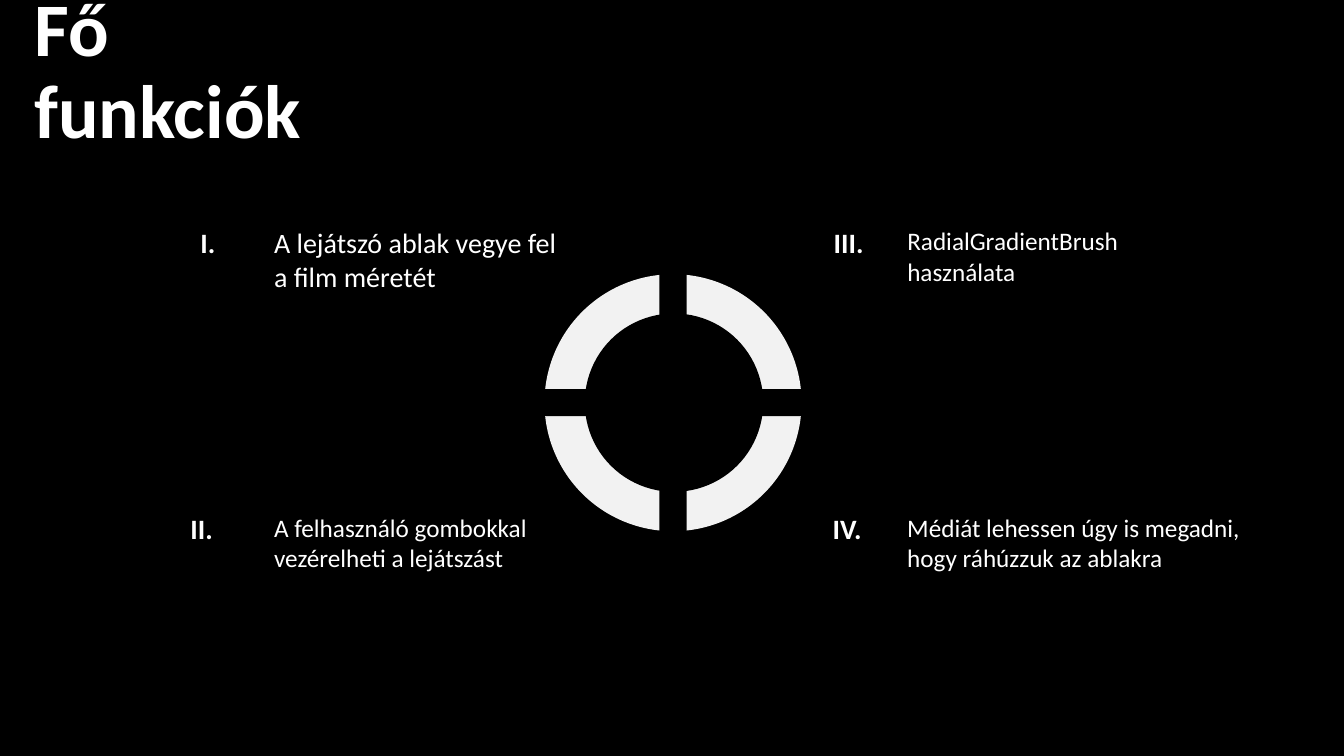
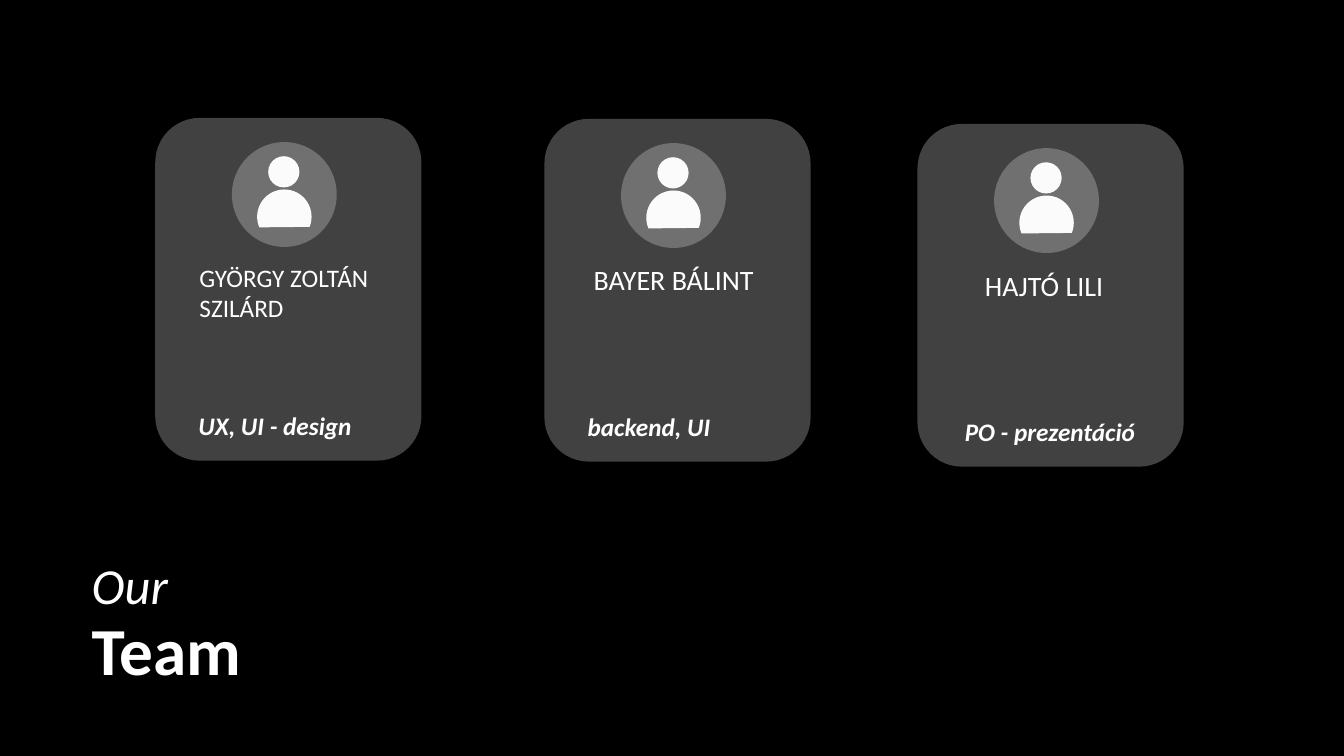
from lxml import etree
from pptx import Presentation
from pptx.dml.color import RGBColor
from pptx.enum import shapes, text
from pptx.oxml.ns import qn
from pptx.util import Inches, Pt

FONT = "Calibri"
BLACK, WHITE, PALE, GREY = "000000", "FFFFFF", "F2F2F2", "404040"
KIND = shapes.MSO_SHAPE

# Number and its box, then text, its box and its size
FEATURES = [
    ("I.", (1.89, 2.19, 0.5, 0.44), "A lejátszó ablak vegye fel a film méretét", (2.62, 2.19, 3.07, 0.77), 20),
    ("II.", (1.79, 5.03, 0.5, 0.44), "A felhasználó gombokkal vezérelheti a lejátszást", (2.62, 5.03, 3.78, 0.71), 18),
    ("III.", (8.17, 2.19, 0.55, 0.44), "RadialGradientBrush használata", (8.9, 2.19, 3.31, 0.71), 18),
    ("IV.", (8.16, 5.03, 0.55, 0.44), "Médiát lehessen úgy is megadni, hogy ráhúzzuk az ablakra", (8.9, 5.03, 3.96, 0.71), 18),
]
# Card corner, name, name size, name indent, role, role indent
TEAM = [
    ((1.54, 1.17), "GYÖRGY ZOLTÁN SZILÁRD", 18, 0.34, "UX, UI - design", 0.33),
    ((5.4, 1.18), "BAYER BÁLINT", 20, 0.39, "backend, UI", 0.33),
    ((9.1, 1.23), "HAJTÓ LILI", 20, 0.57, "PO - prezentáció", 0.37),
]


def color(value):
    return RGBColor.from_string(value)


def add_span(para, words, **formats):
    span = para.add_run()
    span.text = words
    span.font.color.rgb = color(WHITE)
    for name, value in {"name": FONT, "bold": False, "italic": False, **formats}.items():
        setattr(span.font, name, value)


def add_page(deck, title_box, spans):
    """Add a black page whose title is made of (words, formats) spans."""
    page = deck.slides.add_slide(deck.slide_layouts[5])
    page.background.fill.solid()
    page.background.fill.fore_color.rgb = color(BLACK)
    title = page.shapes.title
    title.left, title.top, title.width, title.height = map(Inches, title_box)
    frame = title.text_frame
    frame.auto_size = text.MSO_AUTO_SIZE.NONE
    frame.word_wrap = True
    frame.vertical_anchor = text.MSO_ANCHOR.MIDDLE
    para = frame.paragraphs[0]
    para.alignment = text.PP_ALIGN.LEFT
    para.line_spacing = 0.9
    for words, formats in spans:
        add_span(para, words, **formats)
    return page


def add_label(parent, box, words, size, space_before=0, **formats):
    label = parent.shapes.add_textbox(*map(Inches, box))
    label.text_frame.word_wrap = True
    label.text_frame.auto_size = text.MSO_AUTO_SIZE.SHAPE_TO_FIT_TEXT
    para = label.text_frame.paragraphs[0]
    para.space_before = Pt(space_before)
    add_span(para, words, size=Pt(size), **formats)


def add_figure(parent, kind, box, fill, opacity=100, rotation=0):
    figure = parent.shapes.add_shape(kind, *map(Inches, box))
    figure.shadow.inherit = False
    figure.line.fill.background()
    figure.rotation = rotation
    figure.fill.solid()
    figure.fill.fore_color.rgb = color(fill)
    if opacity < 100:
        tint = figure.fill._xPr.find(qn("a:solidFill"))[0]
        etree.SubElement(tint, qn("a:alpha")).set("val", str(opacity * 1000))


def add_split_ring(page):
    """Draw a ring that four black gaps cut into quarters."""
    ring = page.shapes.add_group_shape()
    add_figure(ring, KIND.OVAL, (5.4, 2.72, 2.55, 2.55), PALE)
    add_figure(ring, KIND.OVAL, (5.8, 3.11, 1.77, 1.77), BLACK)
    for gap in [(6.54, 2.68, 0.27, 0.47), (6.54, 4.74, 0.27, 0.63),
                (5.39, 3.86, 0.47, 0.27), (7.49, 3.86, 0.47, 0.27)]:
        add_figure(ring, KIND.RECTANGLE, gap, BLACK)


def add_team_card(page, corner, name, name_size, name_indent, role, role_indent):
    left, top = corner
    card = page.shapes.add_group_shape()
    add_figure(card, KIND.OVAL, (left + 0.76, top + 0.24, 1.04, 1.04), GREY)
    add_figure(card, KIND.CHORD, (left + 1.01, top + 0.71, 0.54, 0.54), WHITE, rotation=111.9)
    add_figure(card, KIND.OVAL, (left + 1.12, top + 0.38, 0.31, 0.31), WHITE)
    add_figure(card, KIND.ROUNDED_RECTANGLE, (left, top, 2.64, 3.4), PALE, opacity=27)
    add_label(card, (left + name_indent, top + 1.38, 1.98, 0.44), name, name_size)
    add_label(card, (left + role_indent, top + 2.85, 1.98, 0.4), role, 18, bold=True, italic=True)


def main():
    deck = Presentation()
    deck.slide_width, deck.slide_height = Inches(13.33), Inches(7.5)

    features = add_page(deck, (0.24, 0, 3.72, 1.45),
                        [("Fő funkciók", {"size": Pt(54), "bold": True})])
    add_split_ring(features)
    for number, number_box, words, words_box, size in FEATURES:
        add_label(features, words_box, words, size, space_before=24)
        add_label(features, number_box, number, 20, bold=True)

    team = add_page(deck, (0.81, 5.23, 2.46, 1.86),
                    [("Our", {"size": Pt(36), "italic": True}),
                     (" ", {"size": Pt(44), "bold": True}),
                     ("Team", {"size": Pt(48), "bold": True})])
    for member in TEAM:
        add_team_card(team, *member)

    deck.save("out.pptx")


if __name__ == "__main__":
    main()
